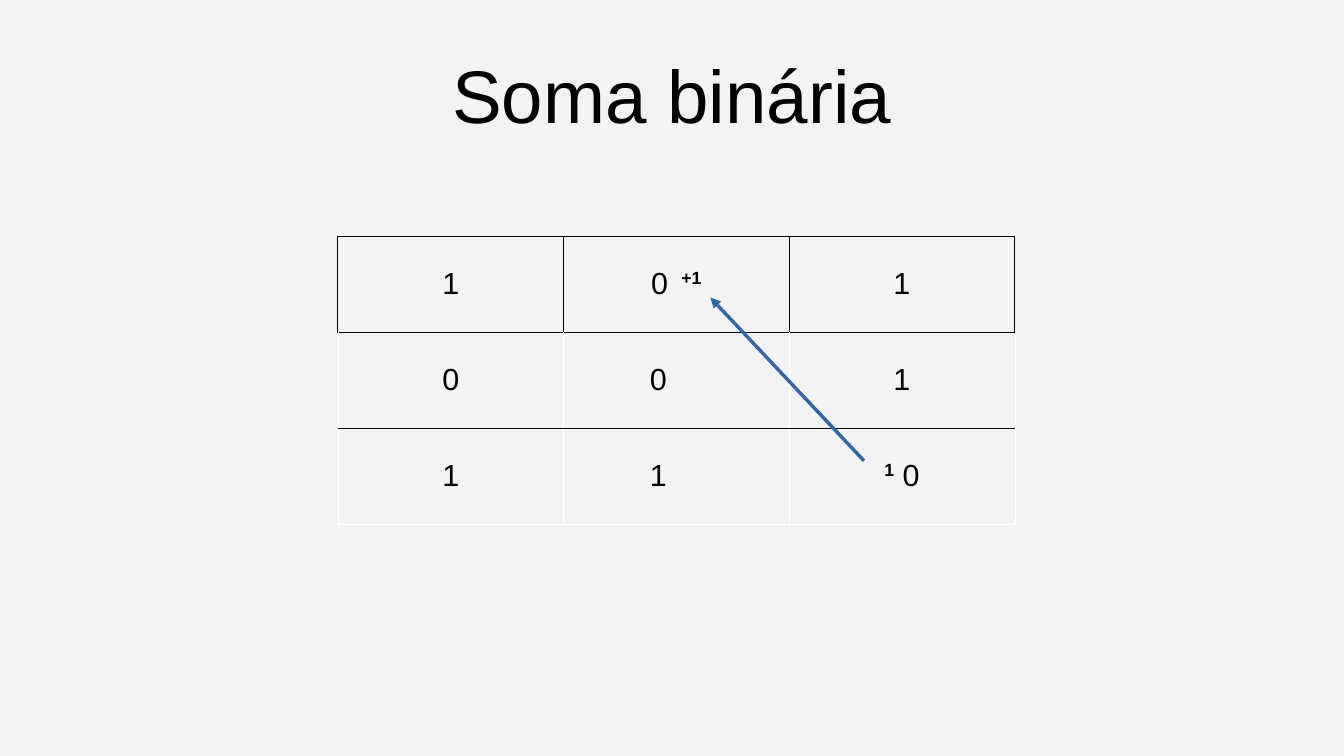
from lxml import etree
from pptx import Presentation
from pptx import util as u
from pptx.dml import color
from pptx.enum import shapes, text
from pptx.oxml import ns

BLACK = color.RGBColor(0x00, 0x00, 0x00)
WHITE = color.RGBColor(0xFF, 0xFF, 0xFF)
BLUE = color.RGBColor(0x34, 0x65, 0xA4)
GRAY = color.RGBColor(0xF3, 0xF3, 0xF3)

THICK = (BLACK, 0.57)
THIN_BLACK = (BLACK, 0.06)
THIN_WHITE = (WHITE, 0.06)

PLAIN, RAISED = False, True
SUM_ROWS = [
    [[("1", PLAIN)], [("0 ", PLAIN), (" +1", RAISED)], [("1", PLAIN)]],
    [[("0", PLAIN)], [("0", PLAIN)], [("1", PLAIN)]],
    [[("1", PLAIN)], [("1", PLAIN)], [("1", RAISED), (" 0", PLAIN)]],
]
ROW_BORDERS = [
    {"L": THICK, "R": THICK, "T": THICK, "B": THICK},
    {"L": THIN_WHITE, "R": THIN_WHITE, "T": THIN_WHITE, "B": THICK},
    {"L": THIN_WHITE, "R": THIN_WHITE, "T": THIN_BLACK, "B": THIN_WHITE},
]


class SlideBuilder:
    """Draw styled elements on the current slide."""

    font_name = "Arial"
    title_size = 44
    cell_size = 18

    def __init__(self, slide):
        self.slide = slide
        slide.background.fill.solid()
        slide.background.fill.fore_color.rgb = GRAY

    def add_runs(self, paragraph, runs, size):
        paragraph.alignment = text.PP_ALIGN.CENTER
        for words, raised in runs:
            run = paragraph.add_run()
            run.text = words
            run.font.name = self.font_name
            run.font.size = u.Pt(size)
            run.font.bold = raised
            run.font.color.rgb = BLACK
            if raised:
                run._r.get_or_add_rPr().set("baseline", "33000")

    def title(self, words, left, top, width, height):
        shape = self.slide.shapes.add_textbox(
            u.Cm(left), u.Cm(top), u.Cm(width), u.Cm(height))
        frame = shape.text_frame
        frame.word_wrap = True
        frame.vertical_anchor = text.MSO_ANCHOR.MIDDLE
        frame.margin_left = frame.margin_right = 0
        frame.margin_top = frame.margin_bottom = 0
        self.add_runs(frame.paragraphs[0], [(words, PLAIN)], self.title_size)

    def border(self, cell, sides):
        properties = cell._tc.get_or_add_tcPr()
        for side, (rgb, width) in sides.items():
            line = etree.SubElement(
                properties, ns.qn(f"a:ln{side}"), w=str(u.Pt(width)))
            fill = etree.SubElement(line, ns.qn("a:solidFill"))
            etree.SubElement(fill, ns.qn("a:srgbClr"), val=str(rgb))

    def table(self, rows, borders, left, top, column_width, row_height):
        columns = len(rows[0])
        table = self.slide.shapes.add_table(
            len(rows), columns, u.Cm(left), u.Cm(top),
            u.Cm(column_width * columns), u.Cm(row_height * len(rows))).table
        table.first_row = table.horz_banding = False
        for row, (contents, sides) in enumerate(zip(rows, borders)):
            for column, runs in enumerate(contents):
                cell = table.cell(row, column)
                cell.vertical_anchor = text.MSO_ANCHOR.MIDDLE
                self.border(cell, sides)
                cell.fill.background()
                self.add_runs(
                    cell.text_frame.paragraphs[0], runs, self.cell_size)
        return table

    def arrow(self, start, end):
        connector = self.slide.shapes.add_connector(
            shapes.MSO_CONNECTOR.STRAIGHT, *map(u.Cm, start + end))
        connector.line.color.rgb = BLUE
        connector.line.width = 0
        line = connector.line._get_or_add_ln()
        etree.SubElement(line, ns.qn("a:tailEnd"), type="triangle")
        etree.SubElement(connector._element.spPr, ns.qn("a:effectLst"))


def main():
    presentation = Presentation()
    presentation.slide_width = u.Cm(28)
    presentation.slide_height = u.Cm(15.75)
    builder = SlideBuilder(
        presentation.slides.add_slide(presentation.slide_layouts[6]))
    builder.title("Soma binária", 1.4, 0.63, 25.2, 2.64)
    table = builder.table(SUM_ROWS, ROW_BORDERS, 7.04, 4.92, 4.7, 2)
    for row in (1, 2):
        table.cell(row, 1).margin_right = u.Cm(1)
    builder.arrow((18, 9.6), (14.8, 6.2))
    presentation.save("out.pptx")


if __name__ == "__main__":
    main()
